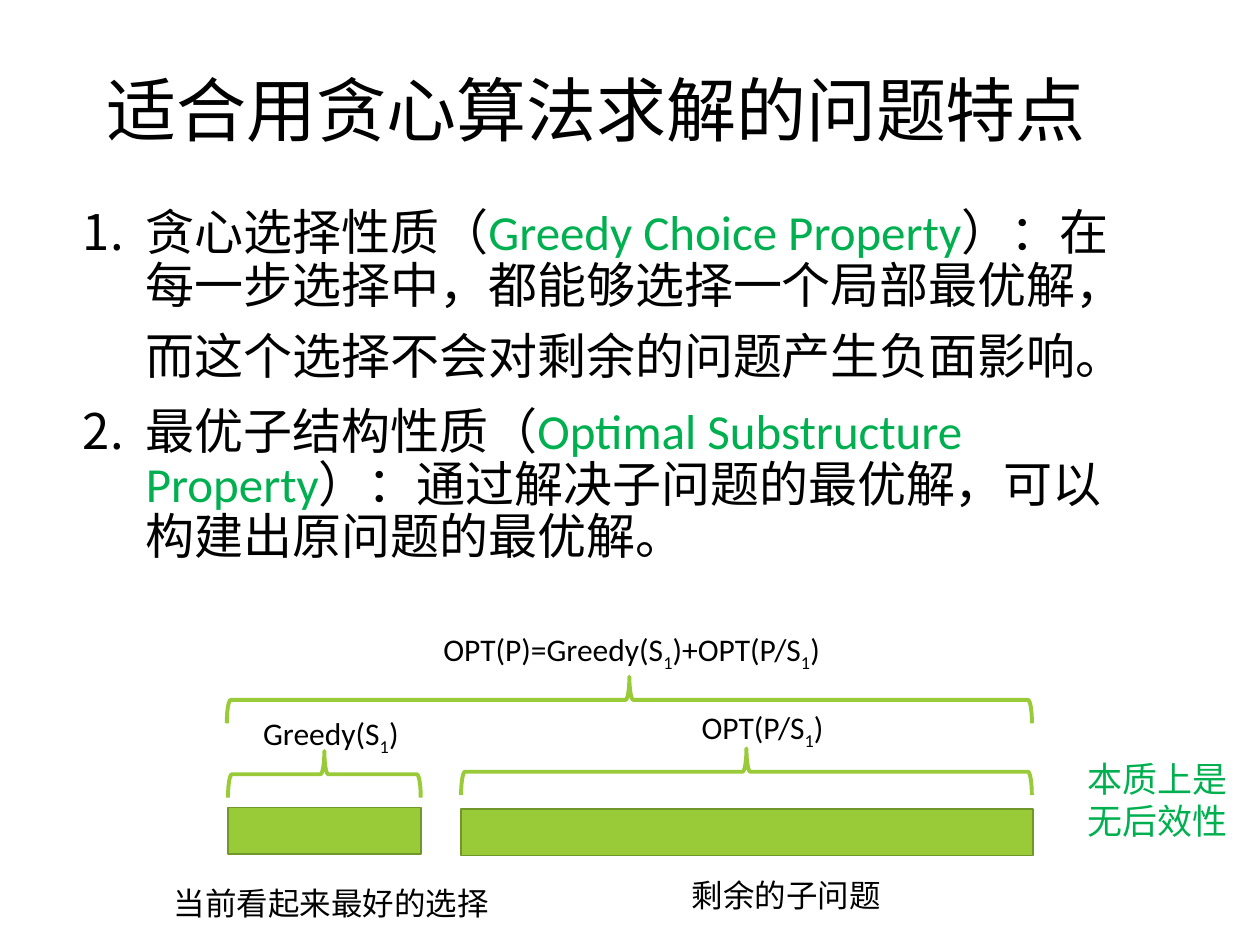
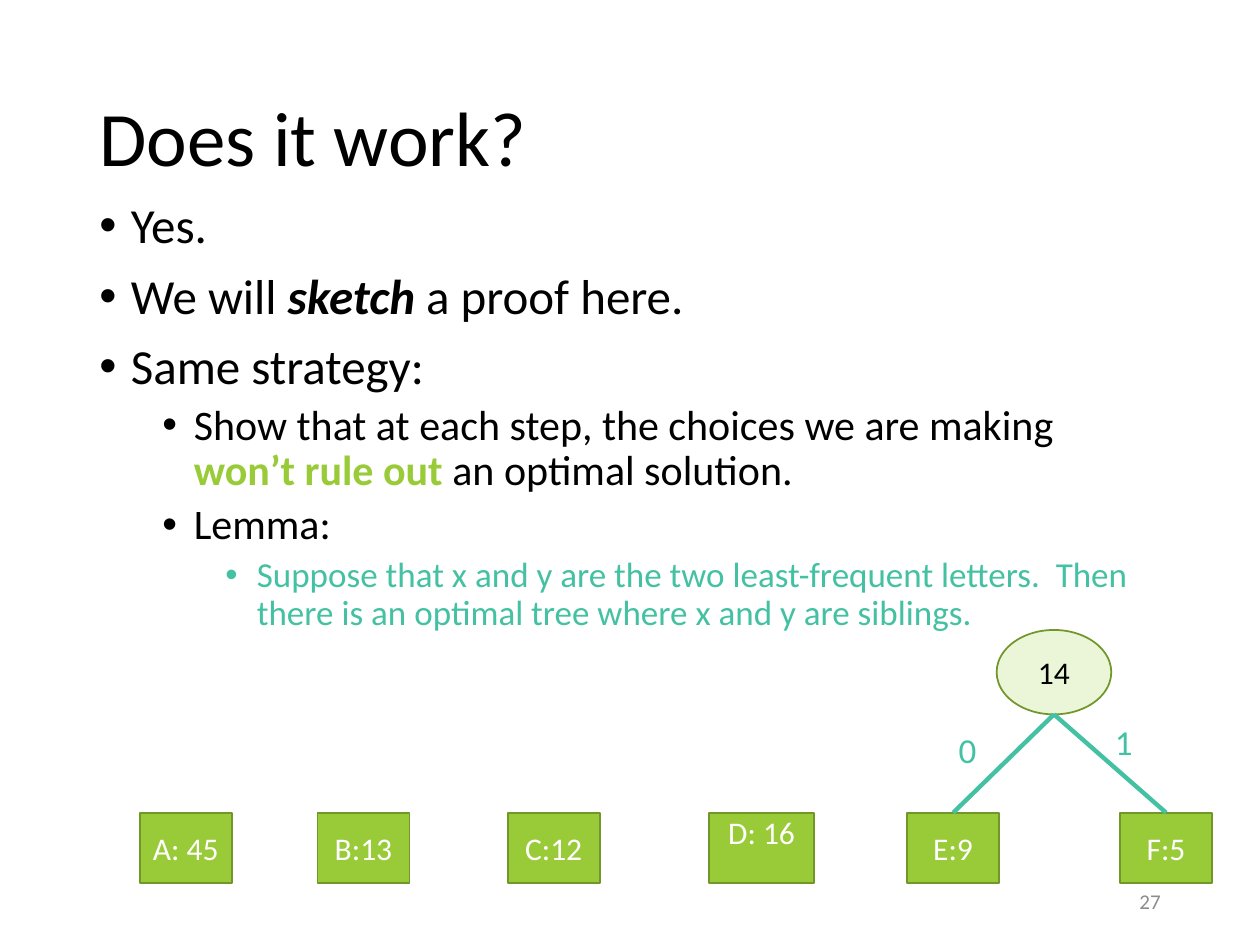
from lxml import etree
from pptx import Presentation
from pptx.dml.color import RGBColor
from pptx.enum.shapes import MSO_CONNECTOR, MSO_SHAPE
from pptx.enum.text import MSO_ANCHOR, PP_ALIGN
from pptx.oxml.ns import qn
from pptx.util import Inches, Pt

RECTANGLE, OVAL, BRACE = MSO_SHAPE.RECTANGLE, MSO_SHAPE.OVAL, MSO_SHAPE.RIGHT_BRACE
STRAIGHT = MSO_CONNECTOR.STRAIGHT
TOP, MIDDLE = MSO_ANCHOR.TOP, MSO_ANCHOR.MIDDLE
LEFT, CENTER, RIGHT = PP_ALIGN.LEFT, PP_ALIGN.CENTER, PP_ALIGN.RIGHT

FONT = "Calibri"
BLACK = RGBColor(0x00, 0x00, 0x00)
WHITE = RGBColor(0xFF, 0xFF, 0xFF)
GRAY = RGBColor(0x8C, 0x8C, 0x8C)
GREEN = RGBColor(0x00, 0xB0, 0x50)
LIME = RGBColor(0x99, 0xCB, 0x38)
DARK_LIME = RGBColor(0x71, 0x96, 0x29)
PALE_LIME = RGBColor(0xEB, 0xF5, 0xD7)
TEAL = RGBColor(0x44, 0xC1, 0xA3)

# A span is (text, style); a list item is (level, spans).
PLAIN = {}
KEY_TERM = {"color": GREEN}
SUBSCRIPT = ("1", {"baseline": -25000})
LEVEL_SIZES = (28, 24, 20)

PROPERTIES_TITLE = "适合用贪心算法求解的问题特点"
PROPERTIES = [
    (0, [("贪心选择性质（", PLAIN), ("Greedy Choice Property", KEY_TERM),
         ("）：在每一步选择中，都能够选择一个局部最优解，而这个选择不会对剩余的问题产生负面影响。", PLAIN),
         (" ", {"size": 40})]),
    (0, [("最优子结构性质（", PLAIN), ("Optimal Substructure Property", KEY_TERM),
         ("）：通过解决子问题的最优解，可以构建出原问题的最优解。", PLAIN)]),
]
SIDE_REMARK = "本质上是无后效性"
# left, top, width
PROBLEM_BARS = [(3.66, 6.42, 4.54), (1.81, 6.41, 1.53)]
BRACES = [(1.8, 5.37, 6.39), (1.81, 5.96, 1.53), (3.66, 5.94, 4.53)]
# left, top, width, spans
DIAGRAM_LABELS = [
    (3.42, 4.95, 3.29, [("OPT(P)=Greedy(S", PLAIN), SUBSCRIPT,
                        (")+OPT(P/S", PLAIN), SUBSCRIPT, (")", PLAIN)]),
    (1.99, 5.62, 1.34, [("Greedy(S", PLAIN), SUBSCRIPT, (")", PLAIN)]),
    (5.47, 5.57, 1.23, [("OPT(P/S", PLAIN), SUBSCRIPT, (")", PLAIN)]),
    (1.28, 6.97, 2.73, [("当前看起来最好的选择", PLAIN)]),
    (5.39, 6.9, 1.72, [("剩余的子问题", PLAIN)]),
]

PROOF_TITLE = "Does it work?"
PROOF = [
    (0, [("Yes.", PLAIN)]),
    (0, [("We will ", PLAIN), ("sketch", {"bold": True, "italic": True}),
         (" a proof here.", PLAIN)]),
    (0, [("Same strategy:", PLAIN)]),
    (1, [("Show that at each step, the choices we are making ", PLAIN),
         ("won’t rule out ", {"bold": True, "color": LIME}),
         ("an optimal solution.", PLAIN)]),
    (1, [("Lemma:", PLAIN)]),
    (2, [("Suppose that x and y are the two least-frequent letters.  "
          "Then there is an optimal tree where x and y are siblings.", {"color": TEAL})]),
]
# text, left, width, anchor
LEAVES = [
    ("A: 45", 1.11, 0.73, MIDDLE),
    ("B:13", 2.52, 0.73, MIDDLE),
    ("C:12", 4.03, 0.73, MIDDLE),
    ("D: 16", 5.63, 0.83, TOP),
    ("E:9", 7.2, 0.73, MIDDLE),
    ("F:5", 8.89, 0.73, MIDDLE),
]
LEAF_TOP, LEAF_HEIGHT = 6.45, 0.56
ROOT = ("14", 7.91, 5, 0.91, 0.67)
# label, left, top, leaf reached
BRANCHES = [("0", 7.51, 5.73, "E:9"), ("1", 8.75, 5.67, "F:5")]
PAGE_NUMBER = "27"


def add_spans(para, spans, size, color):
    for text, style in spans:
        span = para.add_run()
        span.text = text
        font = span.font
        font.name = FONT
        font.size = Pt(style.get("size", size))
        font.color.rgb = style.get("color", color)
        font.bold = style.get("bold", False)
        font.italic = style.get("italic", False)
        if "baseline" in style:
            span._r.get_or_add_rPr().set("baseline", str(style["baseline"]))


def add_text(page, place, spans, size, color=BLACK, wrap=True, anchor=TOP,
             align=LEFT, line_spacing=None):
    box = page.shapes.add_textbox(*map(Inches, place))
    box.text_frame.word_wrap = wrap
    box.text_frame.vertical_anchor = anchor
    para = box.text_frame.paragraphs[0]
    para.alignment = align
    para.line_spacing = line_spacing
    add_spans(para, spans, size, color)


def add_title(page, left, top, text, size):
    add_text(page, (left, top, 8.62, 1.45), [(text, PLAIN)], size,
             anchor=MIDDLE, line_spacing=0.9)


def add_list(page, left, top, items, hang, numbered=False):
    box = page.shapes.add_textbox(*map(Inches, (left, top, 8.62, 4.76)))
    frame = box.text_frame
    frame.word_wrap = True
    for index, (level, spans) in enumerate(items):
        para = frame.add_paragraph() if index else frame.paragraphs[0]
        para.level = level
        para.line_spacing = 0.9
        if index:
            para.space_before = Pt(5 if level else 10)
        properties = para._p.get_or_add_pPr()
        properties.set("marL", str(Inches(hang + 0.5 * level)))
        properties.set("indent", str(-Inches(hang)))
        if numbered:
            etree.SubElement(properties, qn("a:buFont"), typeface=FONT)
            etree.SubElement(properties, qn("a:buAutoNum"), type="arabicPeriod",
                             startAt=str(index + 1))
        else:
            etree.SubElement(properties, qn("a:buFont"), typeface="Arial")
            etree.SubElement(properties, qn("a:buChar"), char="•")
        add_spans(para, spans, LEVEL_SIZES[level], BLACK)


def add_node(page, kind, place, fill=LIME, text=None, color=WHITE, anchor=MIDDLE):
    node = page.shapes.add_shape(kind, *map(Inches, place))
    node.shadow.inherit = False
    node.fill.solid()
    node.fill.fore_color.rgb = fill
    node.line.color.rgb = DARK_LIME
    node.line.width = Pt(1)
    if text:
        frame = node.text_frame
        frame.vertical_anchor = anchor
        if anchor == TOP:
            frame.margin_top = 0
        frame.paragraphs[0].alignment = CENTER
        add_spans(frame.paragraphs[0], [(text, PLAIN)], 18, color)
    return node


def add_brace_above(page, left, top, width, depth=0.37):
    """Turn a right brace a quarter left so that it spans width and points up."""
    brace = page.shapes.add_shape(
        BRACE, Inches(left + (width - depth) / 2), Inches(top + (depth - width) / 2),
        Inches(depth), Inches(width))
    brace.rotation = 270
    brace.shadow.inherit = False
    brace.fill.background()
    brace.line.color.rgb = LIME
    brace.line.width = Pt(2.25)


def add_branch(page, root, leaf):
    branch = page.shapes.add_connector(
        STRAIGHT, root.left + root.width // 2, root.top + root.height, leaf.left, leaf.top)
    branch.end_connect(leaf, 0)
    branch.line.color.rgb = TEAL
    branch.line.width = Pt(2.5)
    etree.SubElement(branch._element.spPr, qn("a:effectLst"))


def build_properties_page(page):
    add_title(page, 0.75, 0.18, PROPERTIES_TITLE, 40)
    add_list(page, 0.56, 1.6, PROPERTIES, 0.5, numbered=True)
    add_text(page, (8.53, 5.96, 1.35, 0.77), [(SIDE_REMARK, PLAIN)], 20, GREEN)
    for left, top, width in PROBLEM_BARS:
        add_node(page, RECTANGLE, (left, top, width, 0.37))
    for left, top, width in BRACES:
        add_brace_above(page, left, top, width)
    for left, top, width, spans in DIAGRAM_LABELS:
        add_text(page, (left, top, width, 0.4), spans, 18, wrap=False)


def build_proof_page(page):
    add_title(page, 0.69, 0.4, PROOF_TITLE, 44)
    add_list(page, 0.69, 1.55, PROOF, 0.25)
    leaves = {}
    for text, left, width, anchor in LEAVES:
        leaves[text] = add_node(page, RECTANGLE, (left, LEAF_TOP, width, LEAF_HEIGHT),
                                text=text, anchor=anchor)
    root_text, *root_place = ROOT
    root = add_node(page, OVAL, root_place, PALE_LIME, root_text, BLACK)
    for label, left, top, leaf in BRANCHES:
        add_text(page, (left, top, 0.66, 0.44), [(label, PLAIN)], 20, TEAL)
        add_branch(page, root, leaves[leaf])
    add_text(page, (7.06, 6.95, 2.25, 0.4), [(PAGE_NUMBER, PLAIN)], 12, GRAY,
             anchor=MIDDLE, align=RIGHT)


def main():
    deck = Presentation()
    deck.slide_width, deck.slide_height = Inches(10), Inches(7.5)
    blank = deck.slide_layouts[6]
    for build_page in (build_properties_page, build_proof_page):
        build_page(deck.slides.add_slide(blank))
    deck.save("out.pptx")


if __name__ == "__main__":
    main()
